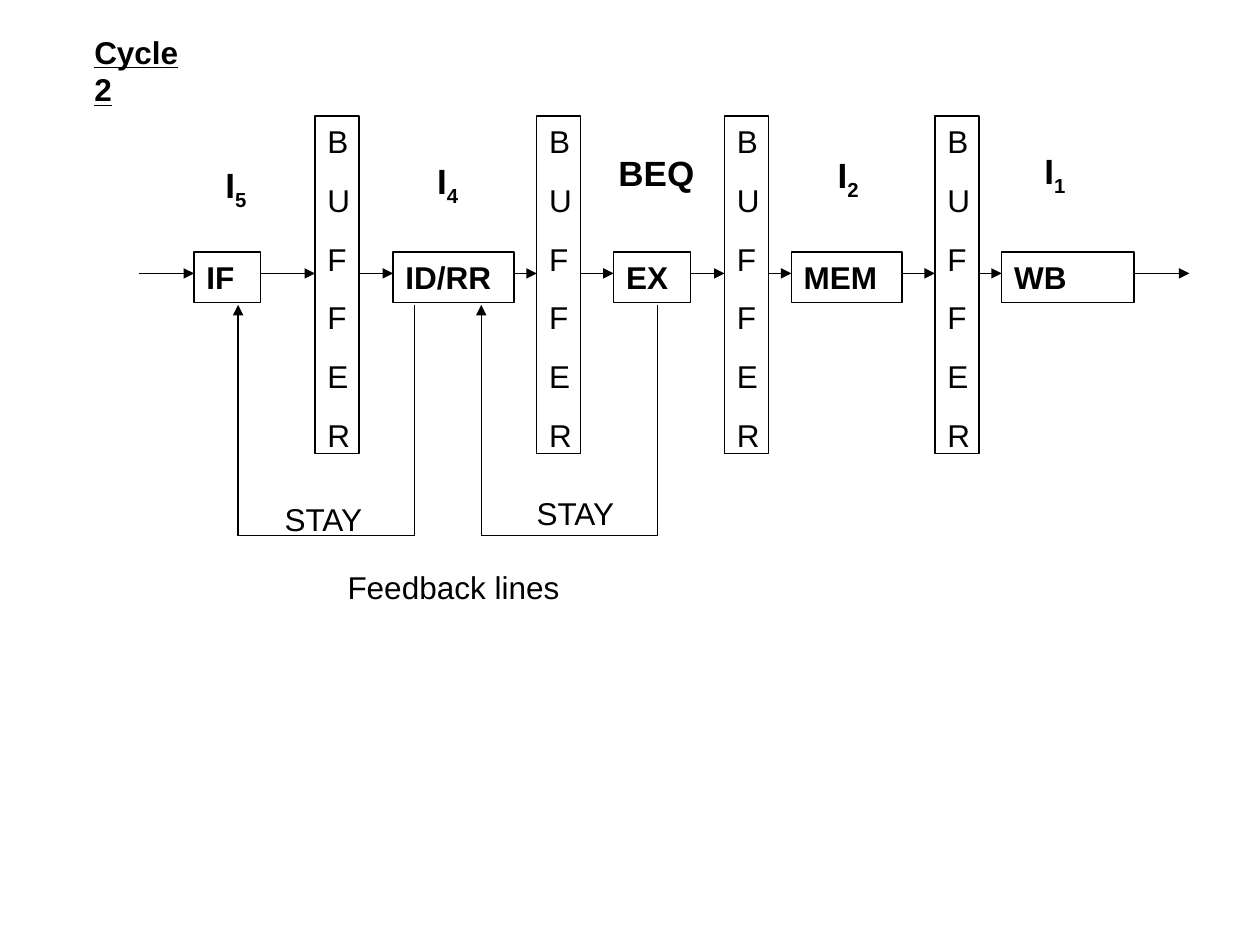
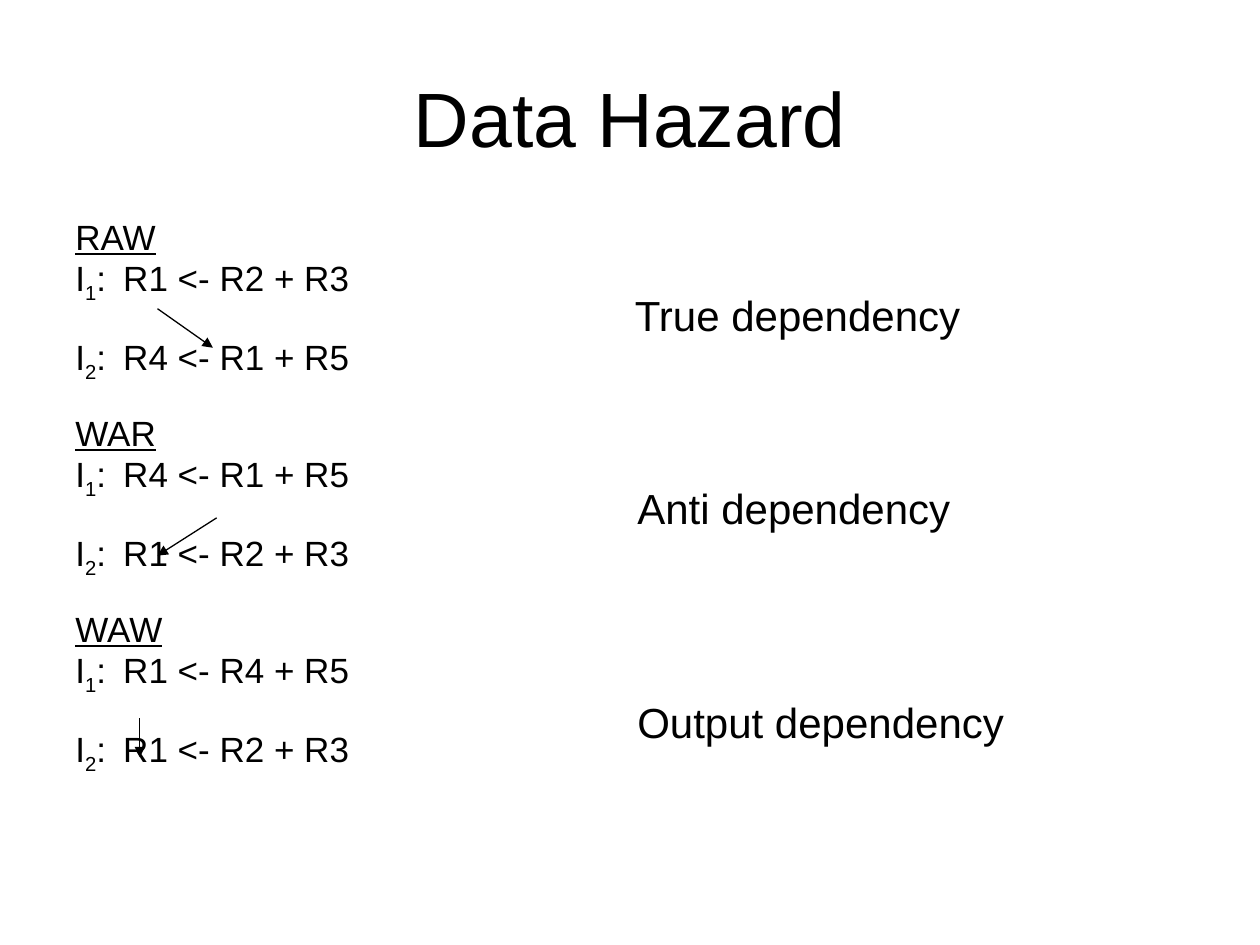
from dataclasses import dataclass
from itertools import pairwise

from pptx import Presentation
from pptx.dml.color import RGBColor
from pptx.enum.shapes import MSO_CONNECTOR as Connector, MSO_SHAPE as Preset
from pptx.enum.text import MSO_ANCHOR as Anchor, PP_ALIGN as Align
from pptx.oxml.ns import qn
from pptx.util import Inches, Pt

# Shared style
BLACK = "000000"
FONT = "Arial"
LINE_WIDTH = 0.74


def paint(target, color: str) -> None:
    """Set a solid colour on a fill, or directly on a font or line colour."""
    if hasattr(target, "solid"):
        target.solid()
        target = target.fore_color
    target.rgb = RGBColor.from_string(color)


def write(frame, text: str, *, size: float = 18, bold: bool = False,
          underline: bool = False, align=Align.LEFT, anchor=Anchor.TOP,
          wrap: bool = False, before: float = 0, spacing: float | None = None,
          hanging: float = 0, new: bool = False) -> None:
    """Write one paragraph per line; the character after "_" is a subscript."""
    frame.word_wrap = wrap
    frame.vertical_anchor = anchor
    for index, line in enumerate(text.split("\n")):
        fresh = new or index > 0
        paragraph = frame.add_paragraph() if fresh else frame.paragraphs[0]
        paragraph.alignment = align
        paragraph.space_before = Pt(before)
        if spacing:
            paragraph.line_spacing = spacing
        if hanging:
            properties = paragraph._p.get_or_add_pPr()
            properties.set("marL", str(Inches(hanging)))
            properties.set("indent", str(Inches(-hanging)))
        first, *rest = line.split("_")
        pieces = [(first, False)]
        for part in rest:
            pieces += [(part[0], True), (part[1:], False)]
        for piece, lowered in pieces:
            if not piece:
                continue
            run = paragraph.add_run()
            run.text = piece
            font = run.font
            font.name, font.size = FONT, Pt(size)
            font.bold, font.underline = bold, underline
            paint(font.color, BLACK)
            if lowered:
                run._r.get_or_add_rPr().set("baseline", "-25000")


def add_text(slide, left: float, top: float, width: float, height: float,
             text: str, **style) -> None:
    area = slide.shapes.add_textbox(
        Inches(left), Inches(top), Inches(width), Inches(height))
    write(area.text_frame, text, **style)


def add_line(slide, start: tuple[float, float], end: tuple[float, float],
             arrow: bool = True) -> None:
    line = slide.shapes.add_connector(
        Connector.STRAIGHT, *map(Inches, (*start, *end)))
    line.line.width = Pt(LINE_WIDTH)
    paint(line.line.fill, BLACK)
    if arrow:
        outline = line.line._get_or_add_ln()
        outline.append(outline.makeelement(qn("a:tailEnd"), {"type": "triangle"}))
    properties = line._element.spPr
    properties.append(properties.makeelement(qn("a:effectLst"), {}))


@dataclass
class Block:
    """A pipeline stage or the buffer between two stages."""
    left: float
    width: float
    text: str
    top: float = 2.0
    height: float = 0.4
    bold: bool = True

    @property
    def right(self) -> float:
        return self.left + self.width

    def draw(self, slide) -> None:
        box = slide.shapes.add_shape(
            Preset.RECTANGLE, Inches(self.left), Inches(self.top),
            Inches(self.width), Inches(self.height))
        box.shadow.inherit = False
        box.fill.background()
        box.line.width = Pt(LINE_WIDTH)
        paint(box.line.fill, BLACK)
        write(box.text_frame, self.text, bold=self.bold, wrap=True, before=12)


def buffer(left: float) -> Block:
    return Block(left, 0.35, "\n".join("BUFFER"), top=0.92, height=2.68, bold=False)


@dataclass
class Instruction:
    """The instruction that a stage is working on."""
    left: float
    top: float
    text: str
    width: float = 0.38


@dataclass
class Feedback:
    """A line from one stage back to an earlier one."""
    source: float
    target: float
    label_left: float
    label_top: float

    def draw(self, slide) -> None:
        upper, lower = 2.42, 4.25
        corners = [(self.source, upper), (self.source, lower),
                   (self.target, lower), (self.target, upper)]
        for number, (start, end) in enumerate(pairwise(corners), 1):
            add_line(slide, start, end, arrow=number == 3)
        add_text(slide, self.label_left, self.label_top, 0.85, 0.4, "STAY")


@dataclass
class Hazard:
    """Two dependent instructions, the arrow between them and their relation."""
    name: str
    first: str
    second: str
    arrow_start: tuple[float, float]
    arrow_end: tuple[float, float]
    relation: str
    left: float
    top: float
    width: float


PIPELINE = [
    Block(1.54, 0.53, "IF"), buffer(2.5),
    Block(3.12, 0.96, "ID/RR"), buffer(4.26),
    Block(4.87, 0.61, "EX"), buffer(5.75),
    Block(6.28, 0.88, "MEM"), buffer(7.42),
    Block(7.95, 1.05, "WB"),
]
INSTRUCTIONS = [
    Instruction(1.69, 1.25, "I_5"),
    Instruction(3.37, 1.22, "I_4"),
    Instruction(4.81, 1.15, "BEQ", 0.8),
    Instruction(6.55, 1.17, "I_2"),
    Instruction(8.19, 1.14, "I_1"),
]
FEEDBACKS = [Feedback(5.22, 3.82, 4.16, 3.87), Feedback(3.29, 1.89, 2.16, 3.92)]
HAZARDS = [
    Hazard("RAW", "R1 <- R2 + R3", "R4 <- R1 + R5", (1.25, 2.45), (1.69, 2.76),
           "True dependency", 4.94, 2.25, 2.79),
    Hazard("WAR", "R4 <- R1 + R5", "R1 <- R2 + R3", (1.72, 4.11), (1.25, 4.41),
           "Anti dependency", 4.96, 3.78, 2.68),
    Hazard("WAW", "R1 <- R4 + R5", "R1 <- R2 + R3", (1.11, 5.7), (1.11, 6.01),
           "Output dependency", 4.96, 5.48, 3.11),
]


def build_cycle(slide) -> None:
    add_text(slide, 0.65, 0.21, 1.07, 0.4, "Cycle 2", bold=True, underline=True)
    for block in PIPELINE:
        block.draw(slide)

    # Flow from the entry, through every gap, to the exit
    flow_y, tail = 2.17, 0.44
    entry, exit_ = PIPELINE[0].left, PIPELINE[-1].right
    gaps = [(a.right, b.left) for a, b in pairwise(PIPELINE)]
    for start, end in [(entry - tail, entry), *gaps, (exit_, exit_ + tail)]:
        add_line(slide, (start, flow_y), (end, flow_y))

    for item in INSTRUCTIONS:
        add_text(slide, item.left, item.top, item.width, 0.48, item.text,
                 size=20, bold=True)
    for feedback in FEEDBACKS:
        feedback.draw(slide)
    add_text(slide, 2.66, 4.46, 1.88, 0.4, "Feedback lines")


def build_hazards(slide) -> None:
    add_text(slide, 0.5, 0.3, 9, 1.25, "Data Hazard", size=44,
             align=Align.CENTER, anchor=Anchor.MIDDLE, wrap=True)

    # One list of instructions; wide gaps set the second one and the groups apart
    listing = slide.shapes.add_textbox(
        Inches(0.5), Inches(1.75), Inches(9), Inches(4.95)).text_frame
    near, far = 5, 26
    style = dict(size=20, spacing=0.7, hanging=0.38, wrap=True)
    for index, hazard in enumerate(HAZARDS):
        write(listing, hazard.name, underline=True, new=index > 0,
              before=far if index else near, **style)
        write(listing, f"I_1:\t{hazard.first}", new=True, before=near, **style)
        write(listing, f"I_2:\t{hazard.second}", new=True, before=far, **style)

    for hazard in HAZARDS:
        add_line(slide, hazard.arrow_start, hazard.arrow_end)
        add_text(slide, hazard.left, hazard.top, hazard.width, 0.5,
                 hazard.relation, size=24)


# Build the deck
deck = Presentation()
deck.slide_width, deck.slide_height = Inches(10), Inches(7.5)
for build in (build_cycle, build_hazards):
    build(deck.slides.add_slide(deck.slide_layouts[6]))
deck.save("out.pptx")
